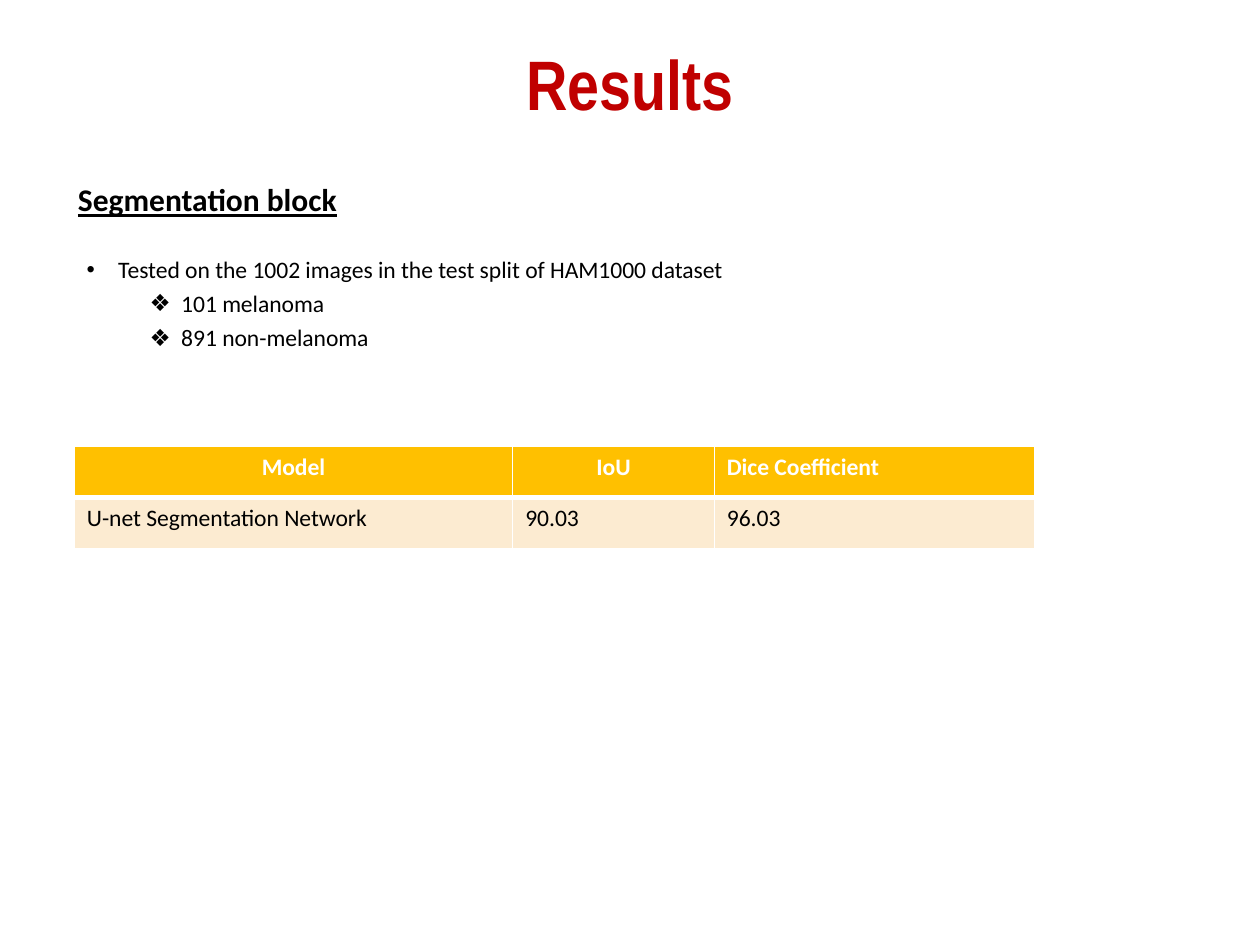
from lxml.etree import SubElement
from pptx import Presentation
from pptx.dml.color import RGBColor
from pptx.enum.text import MSO_ANCHOR as ANCHOR, MSO_AUTO_SIZE as FIT, PP_ALIGN as ALIGN
from pptx.oxml.ns import qn
from pptx.util import Pt

BLACK, WHITE, RED = "000000", "FFFFFF", "C00000"
AMBER, CREAM = "FFC000", "FCEBD1"


def rgb(value):
    return RGBColor.from_string(value)


def write(p, text, size=13.5, font="Calibri", color=BLACK, bold=False,
          underline=False, align=ALIGN.LEFT, spacing=None, before=0):
    p.alignment, p.line_spacing, p.space_before = align, spacing, Pt(before)
    r = p.add_run()
    r.text = text
    f = r.font
    f.name, f.size, f.bold, f.underline = font, Pt(size), bold, underline
    f.color.rgb = rgb(color)


def set_bullet(p, char, margin, hanging=18):
    pPr = p._p.get_or_add_pPr()
    pPr.set("marL", str(Pt(margin)))
    pPr.set("indent", str(-Pt(hanging)))
    SubElement(pPr, qn("a:buFont"), typeface="Arial")
    SubElement(pPr, qn("a:buChar"), char=char)


def add_title(s, text):
    sp = s.shapes.title
    sp.left, sp.top, sp.width, sp.height = Pt(49.5), Pt(29), Pt(621), Pt(42.5)
    tf = sp.text_frame
    tf.auto_size, tf.vertical_anchor = FIT.NONE, ANCHOR.MIDDLE
    write(tf.paragraphs[0], text, size=40, font="Arial Narrow", color=RED,
          bold=True, align=ALIGN.CENTER, spacing=0.9)


def add_box(s, left, top, width, height):
    tf = s.shapes.add_textbox(Pt(left), Pt(top), Pt(width), Pt(height)).text_frame
    tf.word_wrap = True
    return tf


def add_bullets(s, items):
    tf = add_box(s, 42.5, 144, 621, 67)
    for i, (level, text) in enumerate(items):
        p = tf.paragraphs[0] if i == 0 else tf.add_paragraph()
        p.level = level
        write(p, text, spacing=0.9, before=5 if level else 0)
        set_bullet(p, "❖" if level else "•", 54 if level else 18)


def set_borders(cell, bottom):
    """Draw white cell edges; they must precede the fill in the cell XML."""
    tcPr = cell._tc.get_or_add_tcPr()
    for side, width in (("L", 1), ("R", 1), ("T", 1), ("B", bottom)):
        ln = SubElement(tcPr, qn(f"a:ln{side}"), w=str(Pt(width)))
        fill = SubElement(ln, qn("a:solidFill"))
        SubElement(fill, qn("a:srgbClr"), val=WHITE)


def add_results_table(s, rows, widths, row_height=29.2):
    table = s.shapes.add_table(len(rows), len(widths), Pt(42.5), Pt(255),
                               Pt(sum(widths)), Pt(row_height * len(rows))).table
    for column, width in zip(table.columns, widths):
        column.width = Pt(width)
    for i, row in enumerate(rows):
        header = i == 0
        for j, text in enumerate(row):
            cell = table.cell(i, j)
            set_borders(cell, 3 if header else 1)
            if not header:
                cell._tc.tcPr.find(qn("a:lnT")).set("w", str(Pt(3)))
            cell.fill.solid()
            cell.fill.fore_color.rgb = rgb(AMBER if header else CREAM)
            centred = header and j < len(row) - 1
            write(cell.text_frame.paragraphs[0], text, bold=header,
                  color=WHITE if header else BLACK,
                  align=ALIGN.CENTER if centred else ALIGN.LEFT)


def main():
    prs = Presentation()
    prs.slide_width, prs.slide_height = Pt(720), Pt(540)
    s = prs.slides.add_slide(prs.slide_layouts[5])
    add_title(s, "Results")
    add_bullets(s, [
        (0, "Tested on the 1002 images in the test split of HAM1000 dataset"),
        (1, "101 melanoma"),
        (1, "891 non-melanoma"),
    ])
    add_results_table(s, [
        ("Model", "IoU", "Dice Coefficient"),
        ("U-net Segmentation Network", "90.03", "96.03"),
    ], widths=(250.5, 115.2, 182.9))
    heading = add_box(s, 37.5, 99.5, 169, 29)
    write(heading.paragraphs[0], "Segmentation block", size=18, bold=True,
          underline=True, align=ALIGN.JUSTIFY)
    prs.save("out.pptx")


if __name__ == "__main__":
    main()
